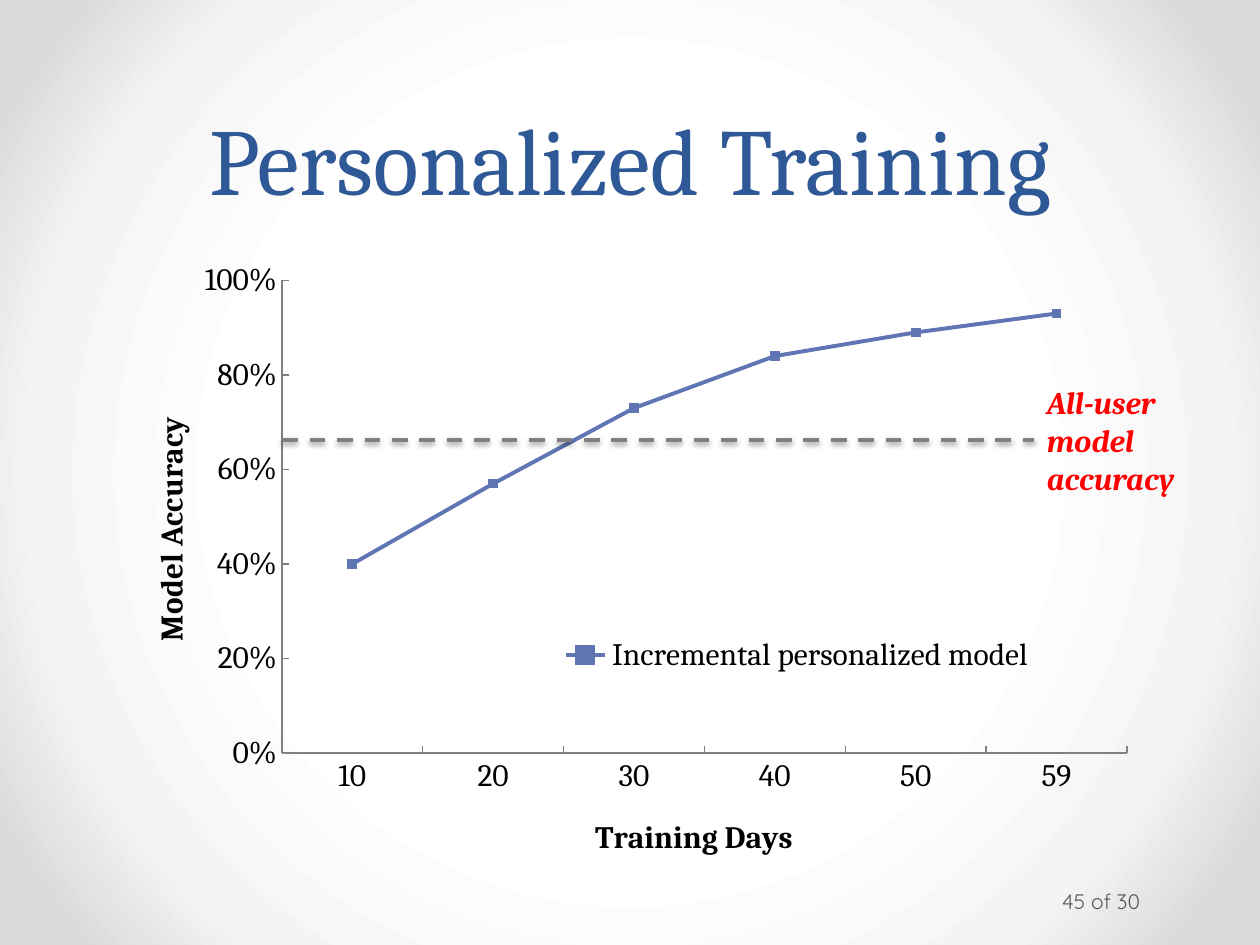
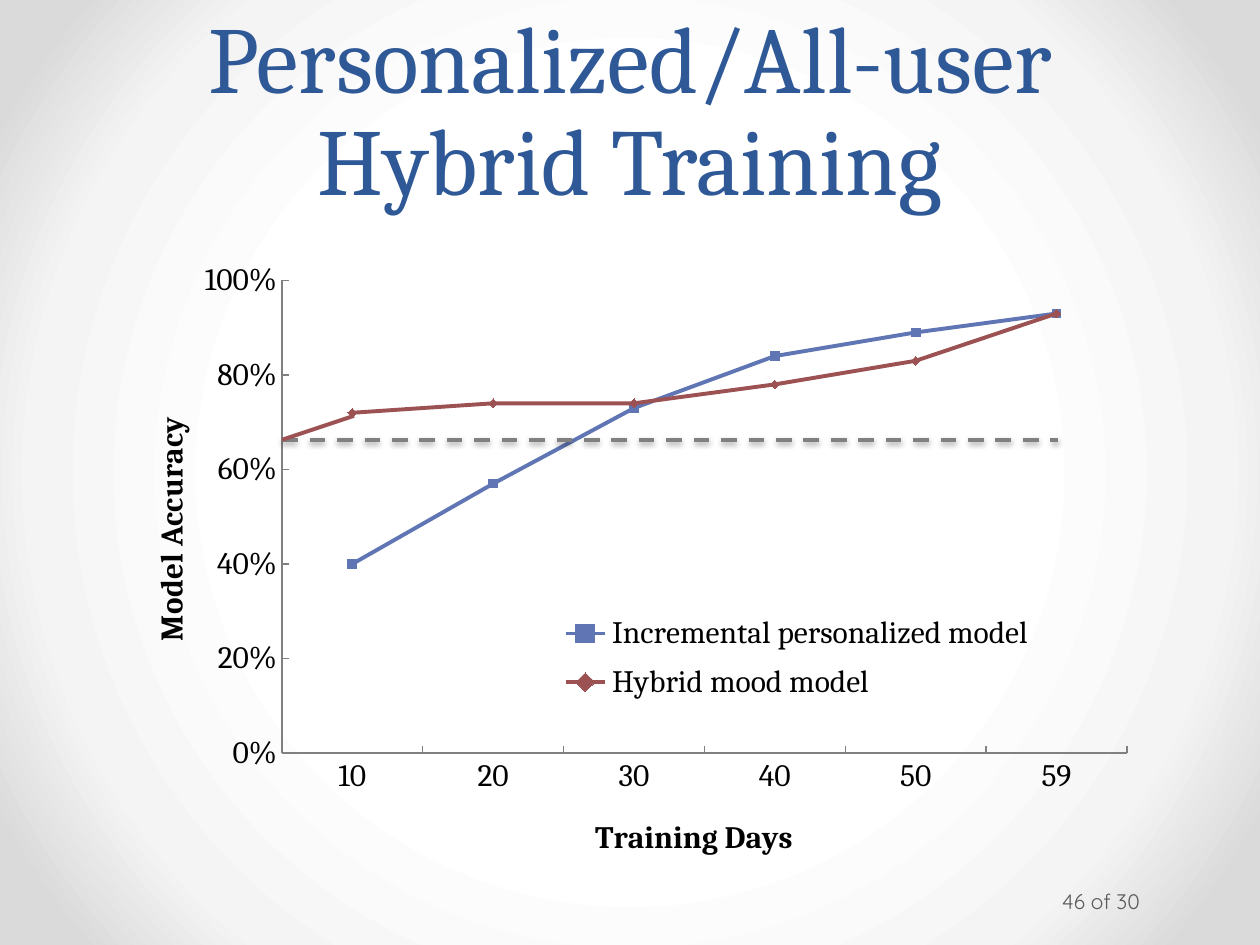
from dataclasses import dataclass
from typing import NamedTuple

from lxml import etree
from pptx import Presentation
from pptx.chart.chart import Chart
from pptx.chart.data import CategoryChartData
from pptx.dml.color import RGBColor
from pptx.enum.chart import XL_CHART_TYPE, XL_LEGEND_POSITION, XL_MARKER_STYLE, XL_TICK_MARK
from pptx.enum.dml import MSO_LINE
from pptx.enum.shapes import MSO_CONNECTOR
from pptx.enum.text import MSO_ANCHOR, MSO_AUTO_SIZE, PP_ALIGN
from pptx.oxml import parse_xml
from pptx.oxml.ns import nsdecls, qn
from pptx.shapes.autoshape import Shape
from pptx.shapes.connector import Connector
from pptx.slide import Slide, SlideMaster
from pptx.text.text import Font
from pptx.util import Pt

LINE_MARKERS = XL_CHART_TYPE.LINE_MARKERS
LEGEND_BOTTOM = XL_LEGEND_POSITION.BOTTOM
SQUARE, DIAMOND = XL_MARKER_STYLE.SQUARE, XL_MARKER_STYLE.DIAMOND
TICK_INSIDE, TICK_NONE = XL_TICK_MARK.INSIDE, XL_TICK_MARK.NONE
DASH = MSO_LINE.DASH
STRAIGHT = MSO_CONNECTOR.STRAIGHT
BOTTOM, MIDDLE = MSO_ANCHOR.BOTTOM, MSO_ANCHOR.MIDDLE
NO_FIT, GROW = MSO_AUTO_SIZE.NONE, MSO_AUTO_SIZE.SHAPE_TO_FIT_TEXT
CENTER = PP_ALIGN.CENTER
LEFT_SIDE = 1
TITLE_ONLY = 5

PX = 9144  # 100 px to the inch
COLORS = {
    "title": "2F5897",
    "text": "000000",
    "page": "595959",
    "axis": "808080",
    "baseline": "808080",
    "callout": "FF0000",
    "personal": "6076B4",
    "hybrid": "9C5252",
    "shadow": "000000",
}
BACKGROUND_STOPS = {50: "FFFFFF", 76: "F4F4F4", 92: "DADADA"}
SERIF, SANS = "Cambria", "Quicksand"
LINE_WIDTH = Pt(2.25)


class Area(NamedTuple):
    left: int
    top: int
    width: int
    height: int

    def emu(self) -> list[int]:
        return [side * PX for side in self]


class Point(NamedTuple):
    x: int
    y: int


@dataclass(frozen=True)
class Model:
    name: str
    accuracies: tuple[float, ...]
    color: str
    marker: XL_MARKER_STYLE


@dataclass(frozen=True)
class TrainingSlide:
    title: str
    page: str
    models: tuple[Model, ...]


TITLE_AREA = Area(50, 0, 900, 175)
CHART_AREA = Area(98, 198, 822, 489)
PAGE_AREA = Area(840, 695, 122, 40)
CALLOUT_AREA = Area(821, 299, 126, 100)
BASELINE_START = Point(224, 349)
BASELINE_END = Point(840, 349)
FIRST_HYBRID_POINT = Point(281, 330)

DAYS = ("10", "20", "30", "40", "50", "59")
PERSONAL = Model("Incremental personalized model",
                 (0.4, 0.57, 0.73, 0.84, 0.89, 0.93), "personal", SQUARE)
HYBRID = Model("Hybrid mood model",
               (0.72, 0.74, 0.74, 0.78, 0.83, 0.93), "hybrid", DIAMOND)
PERSONALIZED = TrainingSlide("Personalized Training", "45 of 30", (PERSONAL,))
COMBINED = TrainingSlide("Personalized/All-user\vHybrid Training", "46 of 30",
                         (PERSONAL, HYBRID))


def rgb(name: str) -> RGBColor:
    return RGBColor.from_string(COLORS[name])


def set_font(font: Font, size: int, color: str, name: str = SERIF,
             bold: bool = False, italic: bool = False) -> None:
    font.name, font.size = name, Pt(size)
    font.bold, font.italic = bold, italic
    font.color.rgb = rgb(color)


def set_background(master: SlideMaster) -> None:
    """Give the master a radial gradient that every slide inherits."""
    stops = "".join(f'<a:gs pos="{position * 1000}"><a:srgbClr val="{color}"/></a:gs>'
                    for position, color in BACKGROUND_STOPS.items())
    common = master.element.cSld
    old = common.find(qn("p:bg"))
    if old is not None:
        common.remove(old)
    common.insert(0, parse_xml(
        f'<p:bg {nsdecls("p", "a")}><p:bgPr><a:gradFill rotWithShape="1">'
        f'<a:gsLst>{stops}</a:gsLst><a:path path="circle">'
        '<a:fillToRect l="50000" t="50000" r="50000" b="50000"/></a:path>'
        '</a:gradFill><a:effectLst/></p:bgPr></p:bg>'))


def set_title(slide: Slide, text: str) -> None:
    title = slide.shapes.title
    title.left, title.top, title.width, title.height = TITLE_AREA.emu()
    frame = title.text_frame
    frame.text = text
    frame.auto_size, frame.vertical_anchor = NO_FIT, BOTTOM
    para = frame.paragraphs[0]
    para.alignment, para.line_spacing = CENTER, Pt(58)
    set_font(para.font, 54, "title")


def place_part(part: etree.ElementBase, x: float, y: float,
               width: float = 0, height: float = 0, inner: bool = False) -> None:
    """Fix a chart part at fractions of the chart area."""
    old = part.find(qn("c:layout"))
    if old is not None:
        part.remove(old)
    layout = parse_xml(f'<c:layout {nsdecls("c")}><c:manualLayout/></c:layout>')
    values = {"layoutTarget": "inner"} if inner else {}
    values |= {"xMode": "edge", "yMode": "edge", "x": x, "y": y}
    if width:
        values |= {"w": width, "h": height}
    for tag, value in values.items():
        etree.SubElement(layout[0], qn(f"c:{tag}")).set("val", str(value))
    overlay = part.find(qn("c:overlay"))
    if overlay is None:
        part.insert(0, layout)
    else:
        overlay.addprevious(layout)


def style_axes(chart: Chart) -> None:
    titles = ((chart.category_axis, "Training Days", 0.45, 0.92, 0),
              (chart.value_axis, "Model Accuracy", 0.02, 0.27, -90))
    for axis, text, x, y, degrees in titles:
        axis.has_major_gridlines = False
        axis.major_tick_mark, axis.minor_tick_mark = TICK_INSIDE, TICK_NONE
        axis.format.line.color.rgb = rgb("axis")
        axis.format.line.width = Pt(0.75)
        frame = axis.axis_title.text_frame
        frame.text = text
        set_font(frame.paragraphs[0].font, 18, "text", bold=True)
        title = axis.axis_title.element
        title.xpath(".//a:bodyPr")[0].set("rot", str(degrees * 60000))
        place_part(title, x, y)
    values = chart.value_axis
    values.minimum_scale, values.maximum_scale, values.major_unit = 0, 1, 0.2
    values.tick_labels.number_format = "0%"
    values.tick_labels.number_format_is_linked = False


def add_accuracy_chart(slide: Slide, models: tuple[Model, ...]) -> None:
    data = CategoryChartData(number_format="0%")
    data.categories = DAYS
    for model in models:
        data.add_series(model.name, model.accuracies)
    chart = slide.shapes.add_chart(LINE_MARKERS, *CHART_AREA.emu(), data).chart
    set_font(chart.font, 18, "text")
    chart.has_title = False
    style_axes(chart)
    plot = chart.plots[0]
    plot.vary_by_categories = False
    for series, model in zip(plot.series, models):
        series.smooth = False
        series.format.line.width = LINE_WIDTH
        series.marker.style, series.marker.size = model.marker, 5
        series.marker.format.fill.solid()
        for color in (series.format.line.color, series.marker.format.fill.fore_color,
                      series.marker.format.line.color):
            color.rgb = rgb(model.color)
    chart.has_legend = True
    chart.legend.position = LEGEND_BOTTOM
    chart.legend.include_in_layout = False
    row_height = 0.09
    place_part(chart.element.xpath(".//c:legend")[0], 0.41,
               round(0.665 - row_height * len(models) / 2, 2),
               0.48, row_height * len(models))
    place_part(chart.element.xpath(".//c:plotArea")[0], 0.153, 0.051, 0.816, 0.775, inner=True)


def add_page_number(slide: Slide, text: str) -> None:
    frame = slide.shapes.add_textbox(*PAGE_AREA.emu()).text_frame
    frame.word_wrap, frame.vertical_anchor = True, MIDDLE
    frame.margin_left = 3 * PX
    frame.margin_top = frame.margin_right = frame.margin_bottom = 5 * PX
    frame.text = text
    set_font(frame.paragraphs[0].font, 12, "page", SANS)


def add_line(slide: Slide, start: Point, end: Point, color: str) -> Connector:
    line = slide.shapes.add_connector(STRAIGHT, *(side * PX for side in (*start, *end)))
    line.line.color.rgb = rgb(color)
    line.line.width = LINE_WIDTH
    etree.SubElement(line.element.spPr, qn("a:effectLst"))
    return line


def add_baseline(slide: Slide) -> Connector:
    """Draw the dashed, shadowed line at the accuracy of the all-user model."""
    line = add_line(slide, BASELINE_START, BASELINE_END, "baseline")
    line.line.dash_style = DASH
    line.element.spPr.find(qn("a:effectLst")).append(parse_xml(
        f'<a:outerShdw {nsdecls("a")} blurRad="{Pt(3.1)}" dist="{Pt(1.6)}" dir="5400000" '
        f'rotWithShape="0"><a:srgbClr val="{COLORS["shadow"]}"><a:alpha val="38000"/>'
        '</a:srgbClr></a:outerShdw>'))
    return line


def add_callout(slide: Slide) -> Shape:
    box = slide.shapes.add_textbox(*CALLOUT_AREA.emu())
    frame = box.text_frame
    frame.word_wrap, frame.auto_size = False, GROW
    frame.text = "All-user \vmodel\vaccuracy"
    set_font(frame.paragraphs[0].font, 18, "callout", bold=True, italic=True)
    return box


def add_training_slide(deck: Presentation, content: TrainingSlide) -> Slide:
    slide = deck.slides.add_slide(deck.slide_layouts[TITLE_ONLY])
    set_title(slide, content.title)
    add_accuracy_chart(slide, content.models)
    add_page_number(slide, content.page)
    return slide


def main() -> None:
    deck = Presentation()
    deck.slide_width, deck.slide_height = 1000 * PX, 750 * PX
    set_background(deck.slide_master)

    personalized = add_training_slide(deck, PERSONALIZED)
    baseline = add_baseline(personalized)
    baseline.end_connect(add_callout(personalized), LEFT_SIDE)

    combined = add_training_slide(deck, COMBINED)
    add_baseline(combined)
    add_line(combined, BASELINE_START, FIRST_HYBRID_POINT, "hybrid")

    deck.save("out.pptx")


if __name__ == "__main__":
    main()
